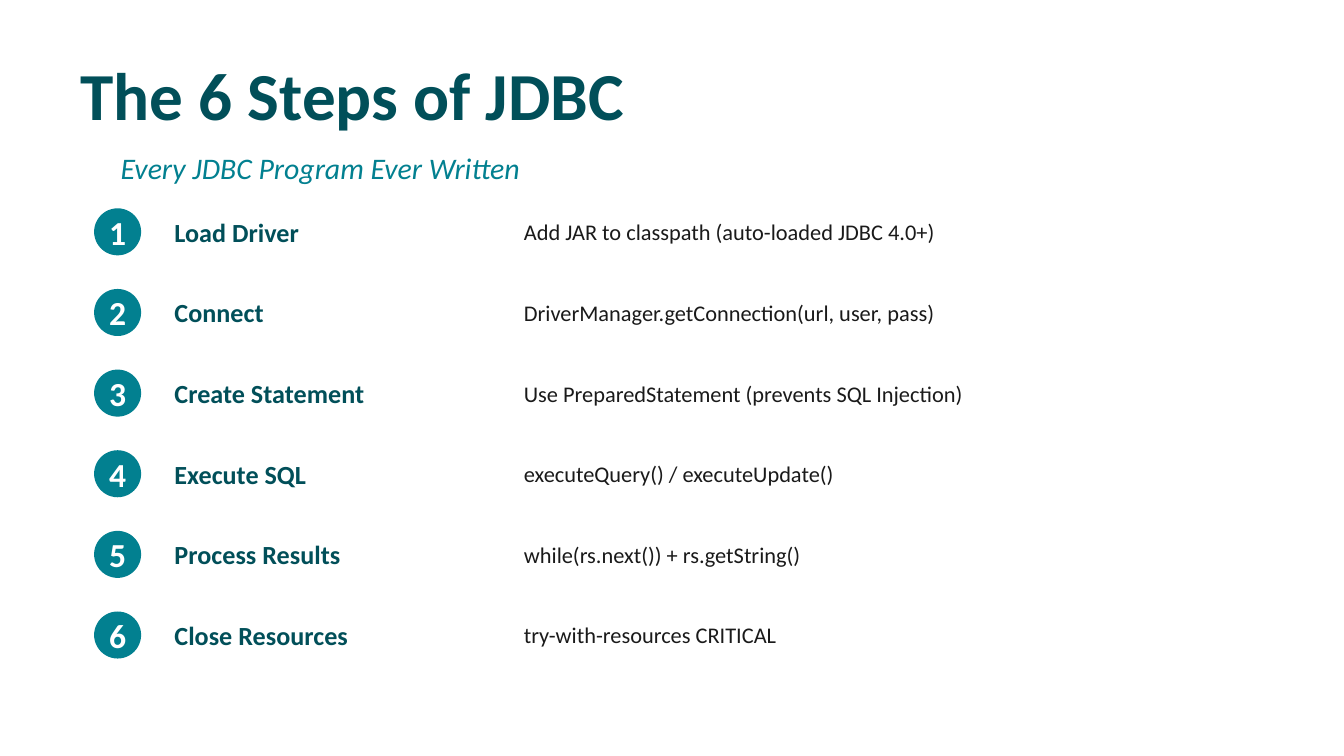
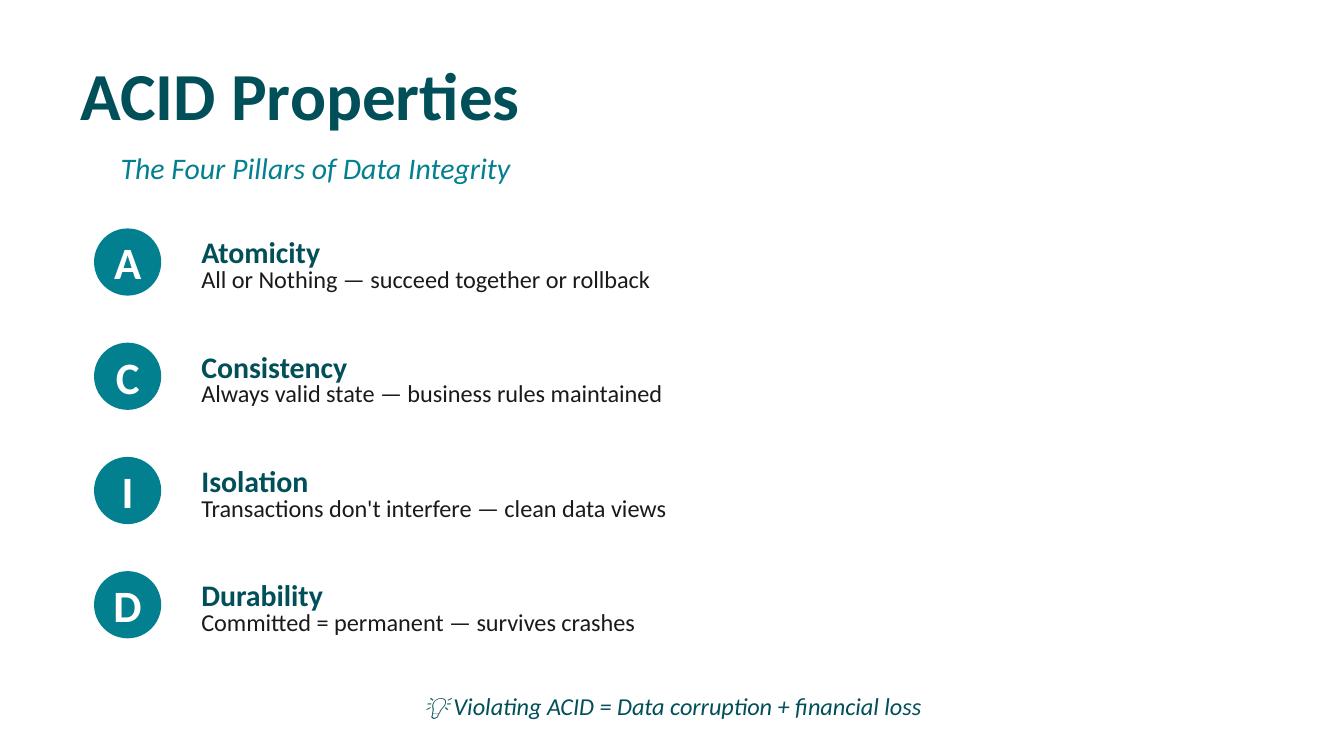
import pptx
import pptx.util
import pptx.dml.color
import pptx.enum.shapes
import pptx.enum.text

Inches = pptx.util.Inches
COLORS = {"dark": "014F59", "teal": "028090", "ink": "1A1A1A", "white": "FFFFFF"}
FONT = "Calibri"

SLIDES = [
    ("The 6 Steps of JDBC", "Every JDBC Program Ever Written"),
    ("ACID Properties", "The Four Pillars of Data Integrity"),
]
STEPS = [
    ("Load Driver", "Add JAR to classpath (auto-loaded JDBC 4.0+)"),
    ("Connect", "DriverManager.getConnection(url, user, pass)"),
    ("Create Statement", "Use PreparedStatement (prevents SQL Injection)"),
    ("Execute SQL", "executeQuery() / executeUpdate()"),
    ("Process Results", "while(rs.next()) + rs.getString()"),
    ("Close Resources", "try-with-resources CRITICAL"),
]
PILLARS = [
    ("Atomicity", "All or Nothing — succeed together or rollback"),
    ("Consistency", "Always valid state — business rules maintained"),
    ("Isolation", "Transactions don't interfere — clean data views"),
    ("Durability", "Committed = permanent — survives crashes"),
]


def add_text(s, text, x, y, w, h, size, color, bold=False, italic=False, center=False):
    sp = s.shapes.add_textbox(Inches(x), Inches(y), Inches(w), Inches(h))
    tf = sp.text_frame
    tf.text = text
    tf.word_wrap = True
    tf.vertical_anchor = pptx.enum.text.MSO_ANCHOR.MIDDLE
    p = tf.paragraphs[0]
    if center:
        p.alignment = pptx.enum.text.PP_ALIGN.CENTER
    font = p.runs[0].font
    font.name = FONT
    font.size = pptx.util.Pt(size)
    font.bold = bold
    font.italic = italic
    font.color.rgb = pptx.dml.color.RGBColor.from_string(COLORS[color])


def add_badge(s, label, y, diameter, size):
    """Add a teal circle at the left margin with a white label over it."""
    sp = s.shapes.add_shape(pptx.enum.shapes.MSO_SHAPE.OVAL, Inches(0.7), Inches(y),
                            Inches(diameter), Inches(diameter))
    sp.shadow.inherit = False
    sp.fill.solid()
    sp.fill.fore_color.rgb = pptx.dml.color.RGBColor.from_string(COLORS["teal"])
    sp.line.fill.background()
    add_text(s, label, 0.7, y, diameter, diameter, size, "white", bold=True, center=True)


prs = pptx.Presentation()
prs.slide_width = Inches(10)
prs.slide_height = prs.slide_width * 9 // 16

for title, subtitle in SLIDES:
    s = prs.slides.add_slide(prs.slide_layouts[6])
    s.background.fill.solid()
    s.background.fill.fore_color.rgb = pptx.dml.color.RGBColor.from_string(COLORS["white"])
    add_text(s, title, 0.5, 0.4, 9, 0.6, 36, "dark", bold=True)
    add_text(s, subtitle, 0.8, 1.1, 8.5, 0.3, 16, "teal", italic=True)

steps_slide, acid_slide = prs.slides

# Numbered steps: name and detail side by side
for i, (name, detail) in enumerate(STEPS):
    y = 1.55 + 0.6 * i
    add_badge(steps_slide, str(i + 1), y, 0.35, 18)
    add_text(steps_slide, name, 1.2, y + 0.05, 2.5, 0.25, 14, "dark", bold=True)
    add_text(steps_slide, detail, 3.8, y + 0.05, 5.5, 0.25, 12, "ink")

# ACID pillars: initial in the badge, detail under the name
for i, (name, detail) in enumerate(PILLARS):
    y = 1.7 + 0.85 * i
    add_badge(acid_slide, name[0], y, 0.5, 24)
    add_text(acid_slide, name, 1.4, y + 0.05, 7.8, 0.25, 16, "dark", bold=True)
    add_text(acid_slide, detail, 1.4, y + 0.25, 7.8, 0.25, 13, "ink")

add_text(acid_slide, "💡 Violating ACID = Data corruption + financial loss",
         1, 5.15, 8, 0.2, 13, "dark", italic=True, center=True)

prs.save("out.pptx")
